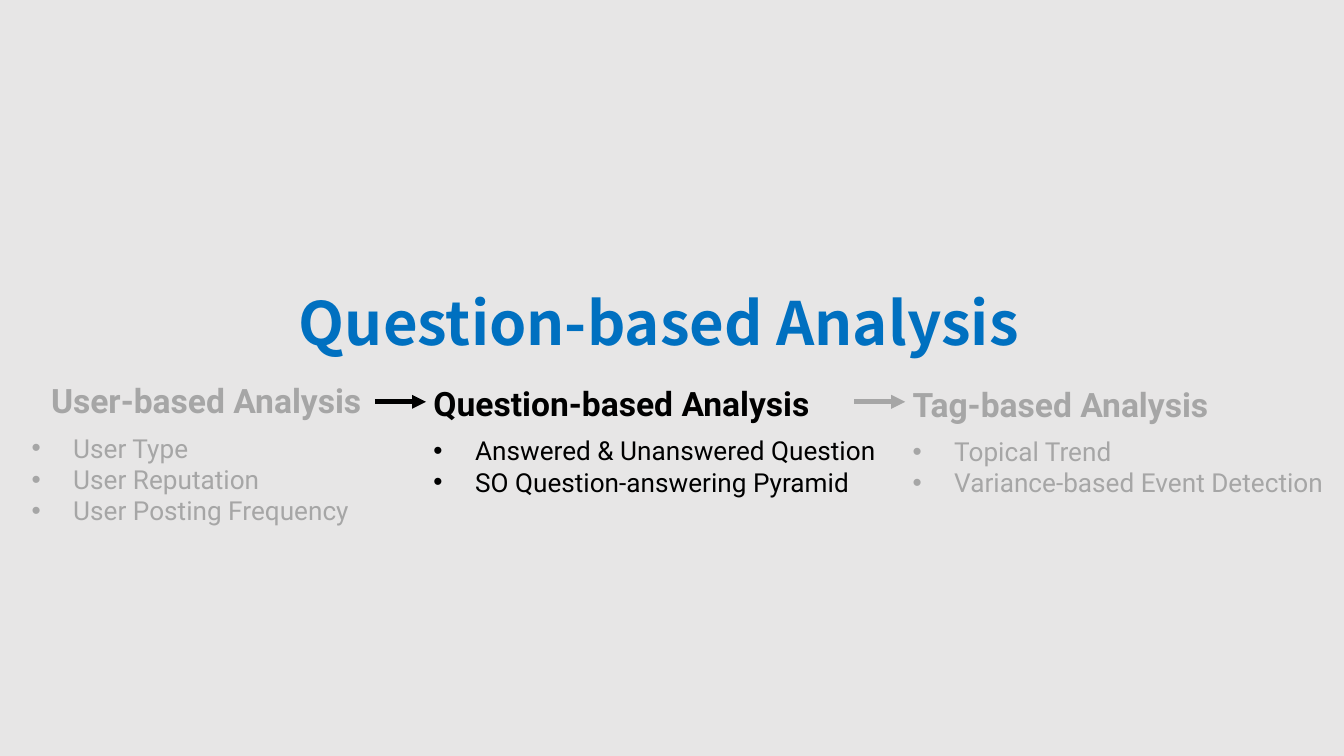
from dataclasses import dataclass

import pptx
import pptx.dml.color
import pptx.enum.shapes
import pptx.enum.text
import pptx.oxml.ns
import pptx.util
from lxml import etree

CELL = 0.1
SLIDE_COLUMNS, SLIDE_ROWS = 100, 56.25
COMPARISON_LAYOUT = 4
MUTED, ACTIVE, ACCENT, BACKDROP = "A6A6A6", "000000", "0070C0", "E7E6E6"
ALIGN = pptx.enum.text.PP_ALIGN


@dataclass(frozen=True)
class Area:
    column: float
    row: float
    columns: float
    rows: float


@dataclass(frozen=True)
class Stage:
    heading: str
    topics: tuple[str, ...]
    area: Area
    color: str
    align: ALIGN = ALIGN.LEFT


@dataclass(frozen=True)
class Arrow:
    column: float
    color: str
    row: float = 29.9
    columns: float = 3.8


STAGES = (
    Stage("User-based Analysis",
          ("User Type", "User Reputation", "User Posting Frequency"),
          Area(1.35, 27.8, 28, 11.9), MUTED, ALIGN.CENTER),
    Stage("Question-based Analysis",
          ("Answered & Unanswered Question", "SO Question-answering Pyramid"),
          Area(31.25, 28, 35.7, 9.6), ACTIVE),
    Stage("Tag-based Analysis",
          ("Topical Trend", "Variance-based Event Detection"),
          Area(66.9, 28.05, 33.1, 9.6), MUTED),
)
ARROWS = (Arrow(27.9, ACTIVE), Arrow(63.55, MUTED))


def rgb(code: str) -> pptx.dml.color.RGBColor:
    return pptx.dml.color.RGBColor.from_string(code)


def grid(cells: float) -> pptx.util.Inches:
    return pptx.util.Inches(cells * CELL)


def add_child(parent, tag: str, **attributes: str) -> None:
    etree.SubElement(parent, pptx.oxml.ns.qn(tag), attributes)


def prepare(placeholder, area: Area, wrap: bool):
    placeholder.left, placeholder.top = grid(area.column), grid(area.row)
    placeholder.width, placeholder.height = grid(area.columns), grid(area.rows)
    frame = placeholder.text_frame
    frame.auto_size = pptx.enum.text.MSO_AUTO_SIZE.SHAPE_TO_FIT_TEXT
    frame.word_wrap = wrap
    frame.vertical_anchor = pptx.enum.text.MSO_ANCHOR.TOP
    return frame


def write(paragraph, words: str, size: float, color: str, font: str = "Roboto",
          bold: bool = False, align: ALIGN = ALIGN.LEFT,
          spacing: float = 1.0, after: float = 0) -> None:
    paragraph.alignment = align
    paragraph.line_spacing = spacing
    paragraph.space_before = pptx.util.Pt(0)
    paragraph.space_after = pptx.util.Pt(after)
    run = paragraph.add_run()
    run.text = words
    run.font.name = font
    run.font.size = pptx.util.Pt(size)
    run.font.bold = bold
    run.font.color.rgb = rgb(color)


def set_bullet(paragraph, symbol: str = "") -> None:
    indent = grid(3.1) if symbol else 0
    properties = paragraph._p.get_or_add_pPr()
    properties.set("marL", str(indent))
    properties.set("indent", str(-indent))
    if symbol:
        add_child(properties, "a:buFont", typeface="Arial")
        add_child(properties, "a:buChar", char=symbol)
    else:
        add_child(properties, "a:buNone")


def draw_stage(placeholder, stage: Stage) -> None:
    frame = prepare(placeholder, stage.area, wrap=False)
    heading = frame.paragraphs[0]
    write(heading, stage.heading, 18, stage.color, bold=True, align=stage.align, after=6)
    set_bullet(heading)
    for topic in stage.topics:
        item = frame.add_paragraph()
        write(item, topic, 14, stage.color)
        set_bullet(item, "•")


def draw_arrow(slide, arrow: Arrow) -> None:
    connector = slide.shapes.add_connector(
        pptx.enum.shapes.MSO_CONNECTOR.STRAIGHT,
        grid(arrow.column), grid(arrow.row),
        grid(arrow.column + arrow.columns), grid(arrow.row))
    connector.line.color.rgb = rgb(arrow.color)
    connector.line.width = pptx.util.Pt(2.5)
    add_child(connector.line._get_or_add_ln(), "a:tailEnd", type="triangle")
    add_child(connector._element.spPr, "a:effectLst")


def main() -> None:
    deck = pptx.Presentation()
    deck.slide_width, deck.slide_height = grid(SLIDE_COLUMNS), grid(SLIDE_ROWS)
    slide = deck.slides.add_slide(deck.slide_layouts[COMPARISON_LAYOUT])
    slide.background.fill.solid()
    slide.background.fill.fore_color.rgb = rgb(BACKDROP)

    title, *bodies = slide.placeholders
    frame = prepare(title, Area(4.3, 20.1, 89.5, 6.6), wrap=True)
    write(frame.paragraphs[0], "Question-based Analysis", 32, ACCENT,
          font="Noto Sans CJK SC", bold=True, align=ALIGN.CENTER, spacing=1.12)

    for body, stage in zip(bodies, STAGES):
        draw_stage(body, stage)
    for unused in bodies[len(STAGES):]:
        unused._element.getparent().remove(unused._element)
    for arrow in ARROWS:
        draw_arrow(slide, arrow)

    deck.save("out.pptx")


if __name__ == "__main__":
    main()
